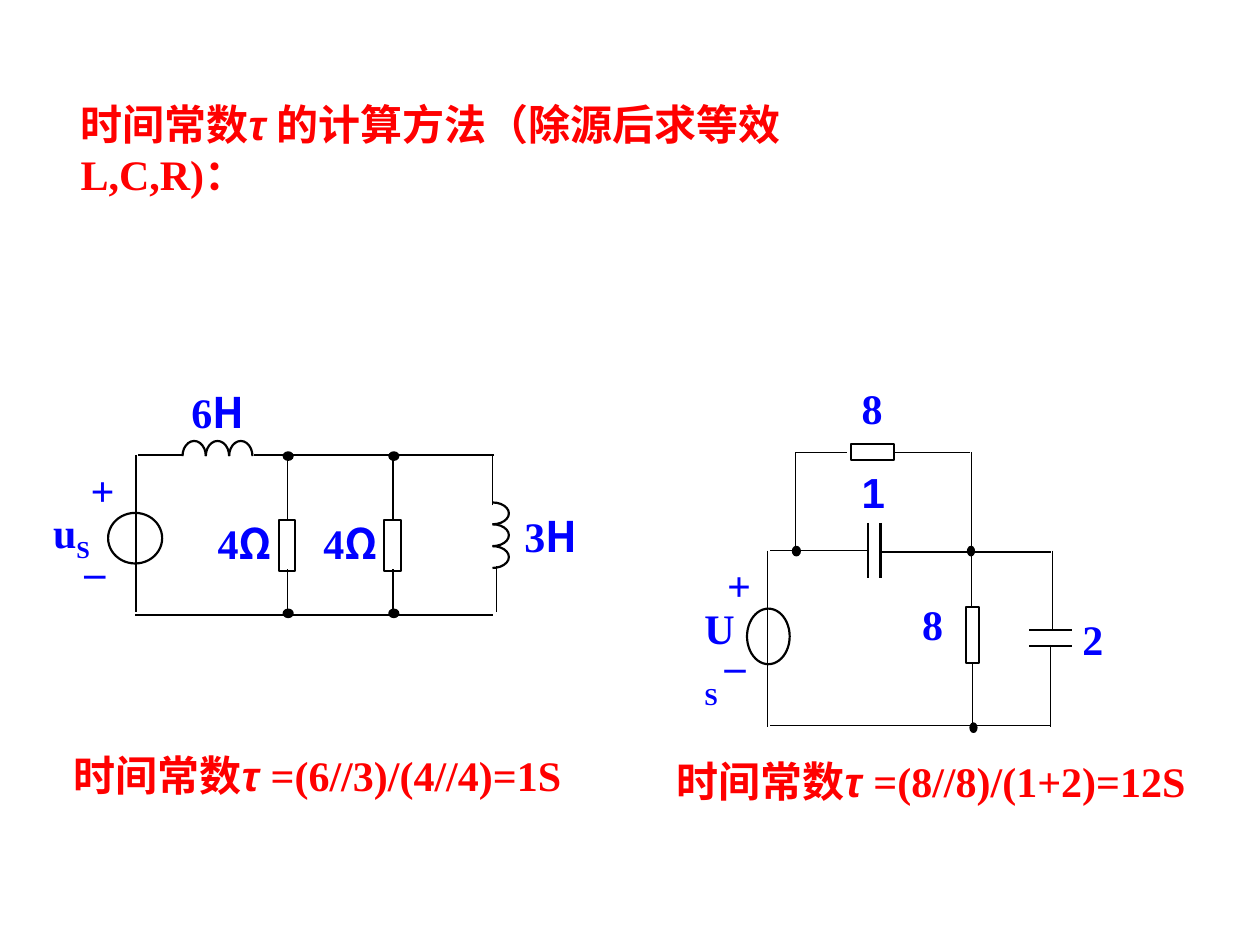
"""Build a slide on finding the time constants of an RL and an RC circuit."""
import lxml.etree
import pptx
import pptx.dml.color
import pptx.enum.shapes
import pptx.enum.text
import pptx.oxml.ns
import pptx.util

Cm = pptx.util.Cm
Pt = pptx.util.Pt
SHAPE = pptx.enum.shapes.MSO_SHAPE
STRAIGHT = pptx.enum.shapes.MSO_CONNECTOR.STRAIGHT
ANCHOR = pptx.enum.text.MSO_ANCHOR
qn = pptx.oxml.ns.qn

COLORS = {"ink": "000000", "label": "0000FF", "heading": "FF0000"}
SERIF = {"name": "Times New Roman", "size": Pt(24), "bold": True}
FONTS = {
    "serif": SERIF,
    "sub": SERIF,
    "unit": SERIF | {"name": "Noto Sans CJK SC"},
    "sans": SERIF | {"name": "Arial"},
    "symbol": SERIF | {"name": "Arial", "italic": True},
}
LABEL_FRAME = {"margin_left": 0, "margin_top": 0, "margin_right": 0, "margin_bottom": 0,
               "word_wrap": True}
CAPTION_FRAME = {"vertical_anchor": ANCHOR.MIDDLE, "word_wrap": True}
TITLE_FRAME = CAPTION_FRAME | {"margin_right": Cm(2),
                               "auto_size": pptx.enum.text.MSO_AUTO_SIZE.NONE}


def write(frame, frame_format, runs, color):
    for attribute, value in frame_format.items():
        setattr(frame, attribute, value)
    paragraph = frame.paragraphs[0]
    paragraph.alignment = pptx.enum.text.PP_ALIGN.LEFT
    for text, style in runs:
        run = paragraph.add_run()
        run.text = text
        for attribute, value in FONTS[style].items():
            setattr(run.font, attribute, value)
        run.font.color.rgb = pptx.dml.color.RGBColor.from_string(COLORS[color])
        properties = run._r.get_or_add_rPr()
        lxml.etree.SubElement(properties, qn("a:ea"), typeface="Noto Sans CJK SC")
        if style == "sub":
            properties.set("baseline", "-25000")


def draw(shapes, preset, box, width, filled=False):
    part = shapes.add_shape(preset, *map(Cm, box))
    part.shadow.inherit = False
    ink = pptx.dml.color.RGBColor.from_string(COLORS["ink"])
    part.line.color.rgb = ink
    part.line.width = Pt(width)
    if filled:
        part.fill.solid()
        part.fill.fore_color.rgb = ink
    else:
        part.fill.background()
    return part


branches = (5.79, 7.92)
rl_circuit = {
    "source": (2.18, 10.34, 1.09, 1.02),
    "resistors": [(x - 0.17, 10.49, 0.33, 1.02) for x in branches],
    "dots": [(x - 0.07, y, 0.18, 0.15) for x in branches for y in (9.12, 12.29)],
    "dot_line": 1.25,
    "coils": [(9.6, 10.13 + 0.44 * i, 0.66, 0.44, 162, 54) for i in range(3)]
             + [(3.68 + 0.47 * i, 8.89, 0.47, 0.61, 108, 0) for i in range(3)],
    "wires": [(2.74, 9.17, 2.74, 12.34), (9.93, 10.19, 9.93, 9.17),
              (10.01, 12.34, 10.01, 11.4), (9.96, 9.17, 5.13, 9.17),
              (3.68, 9.17, 2.79, 9.17), (9.93, 12.4, 2.72, 12.4)]
             + [(x, top, x, bottom) for x in branches
                for top, bottom in ((9.17, 10.46), (11.48, 12.37))],
    "plates": [],
    "labels": [
        ((1.83, 9.37, 0.66, 0.81), [("+", "serif")]),
        ((1.7, 11, 0.76, 0.74), [("–", "serif")]),
        ((1.07, 10.21, 1.02, 1.09), [("u", "serif"), ("S", "sub")]),
        ((3.86, 7.8, 1.42, 1.02), [("6", "serif"), ("H", "unit")]),
        ((10.57, 10.29, 1.42, 1.02), [("3", "serif"), ("H", "unit")]),
    ] + [((x - 1.4, 10.44, 1.35, 0.91), [("4", "serif"), ("Ω", "unit")]) for x in branches],
}
rc_circuit = {
    "source": (15.06, 12.27, 0.86, 1.12),
    "resistors": [(19.48, 12.24, 0.25, 1.12), (17.16, 8.95, 0.86, 0.33)],
    "dots": [(19.51, 11.02, 0.13, 0.18), (15.98, 11.02, 0.15, 0.18),
             (19.56, 14.58, 0.13, 0.18)],
    "dot_line": 1,
    "coils": [],
    "wires": [(19.56, 9.12, 18.01, 9.12), (19.58, 9.12, 19.58, 12.22),
              (19.61, 13.39, 19.61, 14.71), (17.5, 11.1, 15.52, 11.1),
              (21.18, 11.13, 17.75, 11.13), (21.21, 11.1, 21.21, 12.67),
              (21.18, 13, 21.18, 14.66), (15.47, 11.1, 15.47, 14.66),
              (21.18, 14.63, 15.52, 14.63), (17.07, 9.12, 16.03, 9.12),
              (16.03, 9.14, 16.03, 11.15)],
    "plates": [(20.75, y, 21.62, y) for y in (12.7, 13.03)]
              + [(x, 10.54, x, 11.66) for x in (17.5, 17.75)],
    "labels": [
        ((14.2, 12.14, 0.82, 1.12), [("U", "serif"), ("S", "sub")]),
        ((14.66, 11.28, 0.51, 0.89), [("+", "serif")]),
        ((14.61, 12.9, 0.61, 0.79), [("–", "serif")]),
        ((17.37, 9.4, 0.76, 1.12), [("1", "sans")]),
        ((17.37, 7.72, 0.71, 1.12), [("8", "serif")]),
        ((21.82, 12.37, 0.71, 1.12), [("2", "serif")]),
        ((18.59, 12.07, 0.71, 1.12), [("8", "serif")]),
    ],
}
captions = [
    ((1.24, 14.99, 11.13, 1.27), "=(6//3)/(4//4)=1S"),
    ((13.39, 15.11, 12.01, 1.27), "=(8//8)/(1+2)=12S"),
]

presentation = pptx.Presentation()
presentation.slide_width = Cm(25.4)
presentation.slide_height = Cm(19.05)
slide = presentation.slides.add_slide(presentation.slide_layouts[5])

heading = slide.shapes.title
for side, length in {"left": 1.37, "top": 2.36, "width": 18.36, "height": 1.27}.items():
    setattr(heading, side, Cm(length))
write(heading.text_frame, TITLE_FRAME,
      [("时间常数", "serif"), ("τ", "symbol"), (" 的计算方法（除源后求等效L,C,R)：", "serif")],
      "heading")

for circuit in (rl_circuit, rc_circuit):
    parts = slide.shapes.add_group_shape().shapes
    draw(parts, SHAPE.OVAL, circuit["source"], 1.25)
    for resistor in circuit["resistors"]:
        draw(parts, SHAPE.RECTANGLE, resistor, 1.25)
    for *box, start, end in circuit["coils"]:
        turn = draw(parts, SHAPE.ARC, box, 1.25)
        turn.adjustments[0] = start
        turn.adjustments[1] = end
    for kind, width in {"wires": 0.75, "plates": 1.25}.items():
        for ends in circuit[kind]:
            wire = parts.add_connector(STRAIGHT, *map(Cm, ends))
            wire.line.color.rgb = pptx.dml.color.RGBColor.from_string(COLORS["ink"])
            wire.line.width = Pt(width)
            lxml.etree.SubElement(wire._element.spPr, qn("a:effectLst"))
    for dot in circuit["dots"]:
        draw(parts, SHAPE.FLOWCHART_CONNECTOR, dot, circuit["dot_line"], filled=True)
    for box, runs in circuit["labels"]:
        write(parts.add_textbox(*map(Cm, box)).text_frame, LABEL_FRAME, runs, "label")

for box, formula in captions:
    write(slide.shapes.add_textbox(*map(Cm, box)).text_frame, CAPTION_FRAME,
          [("时间常数", "serif"), ("τ ", "symbol"), (formula, "serif")], "heading")

presentation.save("out.pptx")
